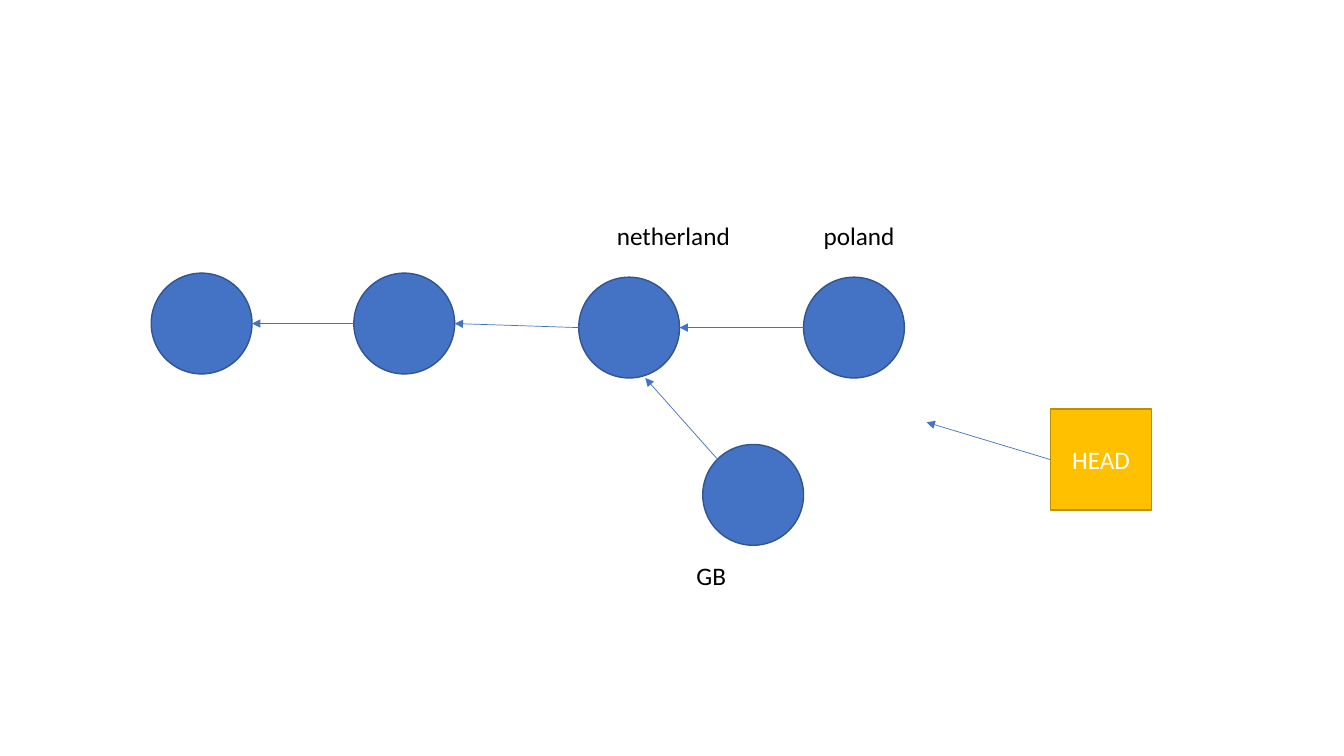
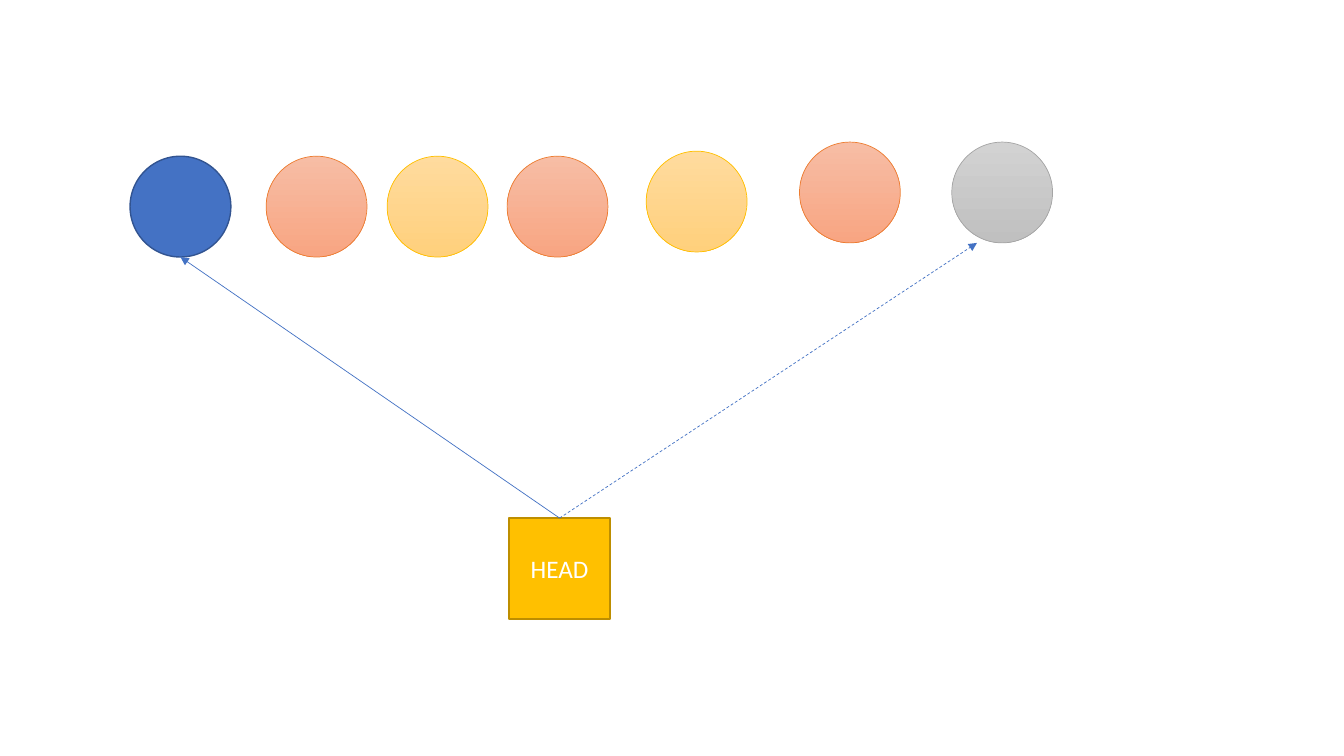
from lxml import etree
from pptx import Presentation
from pptx.dml.color import RGBColor
from pptx.enum.dml import MSO_LINE
from pptx.enum.shapes import MSO_CONNECTOR, MSO_SHAPE
from pptx.enum.text import MSO_ANCHOR, MSO_AUTO_SIZE, PP_ALIGN
from pptx.oxml.ns import qn
from pptx.util import Inches, Pt

OVAL, SQUARE = MSO_SHAPE.OVAL, MSO_SHAPE.RECTANGLE
STRAIGHT, DASH = MSO_CONNECTOR.STRAIGHT, MSO_LINE.DASH
CENTER, MIDDLE = PP_ALIGN.CENTER, MSO_ANCHOR.MIDDLE
FIT = MSO_AUTO_SIZE.SHAPE_TO_FIT_TEXT

SIZE = 1  # side of every commit circle and of the HEAD square
HALF = SIZE / 2
ARROW_COLOR = "4472C4"
FONT = {"name": "Calibri", "size": Pt(18)}
# fill colours from top to bottom, outline colour, outline width
BLUE = (["4472C4"], "325491", 1)
ORANGE = (["F7BDA5", "F8A582"], "ED7D31", 0.5)
YELLOW = (["FFDB9E", "FFD07C"], "FFC000", 0.5)
GRAY = (["D2D2D2", "C0C0C0"], "A5A5A5", 0.5)
GOLD = (["FFC000"], "BD8E00", 1)


def rgb(value):
    return RGBColor.from_string(value)


def write(frame, text, color):
    para = frame.paragraphs[0]
    span = para.add_run()
    span.text = text
    for name, value in FONT.items():
        setattr(span.font, name, value)
    span.font.color.rgb = rgb(color)
    return para


def add_node(page, kind, left, top, style):
    colors, outline, width = style
    node = page.shapes.add_shape(
        kind, Inches(left), Inches(top), Inches(SIZE), Inches(SIZE))
    node.shadow.inherit = False
    if len(colors) == 1:
        node.fill.solid()
        node.fill.fore_color.rgb = rgb(colors[0])
    else:
        node.fill.gradient()
        node.fill.gradient_angle = 270
        for stop, color in zip(node.fill.gradient_stops, colors):
            stop.color.rgb = rgb(color)
    node.line.color.rgb = rgb(outline)
    node.line.width = Pt(width)
    return node


def add_head(page, left, top):
    frame = add_node(page, SQUARE, left, top, GOLD).text_frame
    frame.vertical_anchor = MIDDLE
    write(frame, "HEAD", "FFFFFF").alignment = CENTER


def add_label(page, text, left, top, width):
    box = page.shapes.add_textbox(
        Inches(left), Inches(top), Inches(width), Inches(0.4))
    box.text_frame.word_wrap = False
    box.text_frame.auto_size = FIT
    write(box.text_frame, text, "000000")


def add_arrow(page, start, end, dash=None):
    arrow = page.shapes.add_connector(
        STRAIGHT, *(Inches(value) for value in (*start, *end)))
    arrow.line.color.rgb = rgb(ARROW_COLOR)
    arrow.line.width = Pt(0.5)
    if dash:
        arrow.line.dash_style = dash
    properties = arrow.element.spPr
    tail = etree.SubElement(properties.find(qn("a:ln")), qn("a:tailEnd"))
    tail.set("type", "triangle")
    etree.SubElement(properties, qn("a:effectLst"))


def add_chain(page, corners):
    """Place blue commits, each pointing back at the one before it."""
    for left, top in corners:
        add_node(page, OVAL, left, top, BLUE)
    for (left, top), (next_left, next_top) in zip(corners, corners[1:]):
        add_arrow(page, (next_left, next_top + HALF), (left + SIZE, top + HALF))


def build_branch_slide(page):
    add_chain(page, [(1.5, 2.71), (3.51, 2.71), (5.74, 2.75), (7.97, 2.75)])
    add_label(page, "netherland", 6.02, 2.14, 1.34)
    add_label(page, "poland", 8.07, 2.14, 0.91)

    branch_left, branch_top = 6.97, 4.41
    add_node(page, OVAL, branch_left, branch_top, BLUE)
    add_arrow(page, (branch_left + 0.15, branch_top + 0.15), (6.4, 3.75))
    add_label(page, "GB", branch_left - 0.16, branch_top + 1.1, 0.5)

    head_left, head_top = 10.42, 4.06
    add_head(page, head_left, head_top)
    add_arrow(page, (head_left, head_top + HALF), (9.19, 4.19))


def build_head_move_slide(page):
    commits = [
        (1.29, 1.55, BLUE), (2.64, 1.55, ORANGE), (3.84, 1.55, YELLOW),
        (5.03, 1.55, ORANGE), (6.41, 1.5, YELLOW), (7.93, 1.41, ORANGE),
        (9.44, 1.41, GRAY),
    ]
    for left, top, style in commits:
        add_node(page, OVAL, left, top, style)

    head_left, head_top = 5.05, 5.14
    add_head(page, head_left, head_top)
    start = (head_left + HALF, head_top)
    first_left, first_top, _ = commits[0]
    last_left, last_top, _ = commits[-1]
    add_arrow(page, start, (first_left + HALF, first_top + SIZE))
    add_arrow(page, start, (last_left + 0.25, last_top + SIZE), DASH)


def main():
    deck = Presentation()
    deck.slide_width, deck.slide_height = Inches(13.33), Inches(7.5)
    for build in (build_branch_slide, build_head_move_slide):
        build(deck.slides.add_slide(deck.slide_layouts[6]))
    deck.save("out.pptx")


if __name__ == "__main__":
    main()
